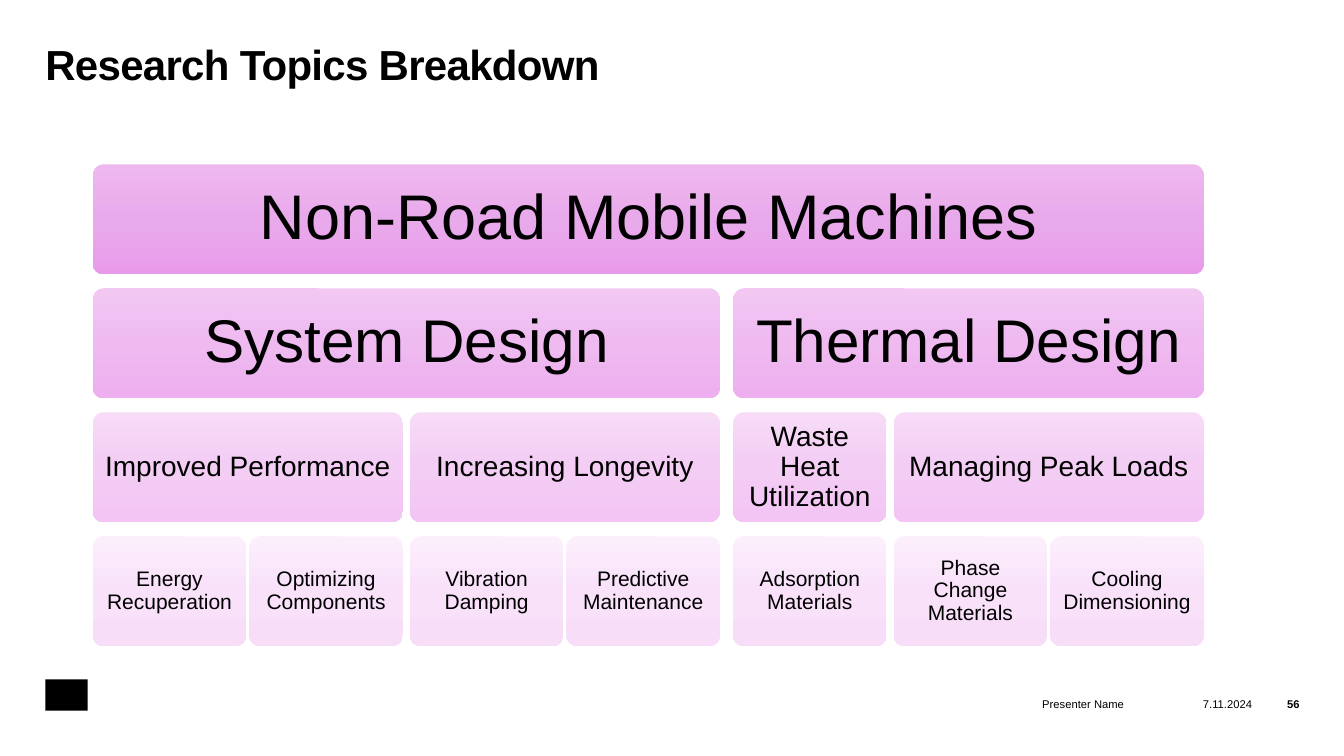
from copy import deepcopy
from pptx import Presentation
from pptx.dml.color import RGBColor as Rgb
from pptx.enum.shapes import MSO_SHAPE as Kind
from pptx.enum.text import MSO_ANCHOR as Anchor, MSO_AUTO_SIZE as Fit, PP_ALIGN as Align
from pptx.oxml.ns import qn
from pptx.util import Inches, Pt

INK = {
    "text": "000000",
    "top": ("EEB8EF", "E9AAEB", "E99BEB"),
    "area": ("F2C8F3", "EEBAF0", "EEAFF0"),
    "goal": ("F7DBF7", "F3CDF4", "F3C5F4"),
    "topic": ("FCEFFC", "F8E1F9", "F8DDF9"),
}


def write(shape, text, size, bold=False, align=Align.CENTER,
          anchor=Anchor.MIDDLE, inset=0, line=1.0):
    frame = shape.text_frame
    frame.word_wrap = True
    frame.auto_size = Fit.NONE
    frame.vertical_anchor = anchor
    frame.margin_left = frame.margin_right = Inches(inset)
    frame.margin_top = frame.margin_bottom = Inches(inset)
    para = frame.paragraphs[0]
    para.alignment = align
    para.line_spacing = line
    run = para.add_run()
    run.text = text
    font = run.font
    font.name, font.size, font.bold = "Arial", Pt(size), bold
    font.color.rgb = Rgb.from_string(INK["text"])
    return run


deck = Presentation()
deck.slide_width, deck.slide_height = Inches(13.33), Inches(7.5)
slide = deck.slides.add_slide(deck.slide_layouts[5])
shapes = slide.shapes

title = shapes.title
title.left, title.top = Inches(0.45), Inches(0.44)
title.width, title.height = Inches(12.44), Inches(1.18)
run = write(title, "Research Topics Breakdown", 30, bold=True,
            align=Align.LEFT, anchor=Anchor.TOP, line=0.9)
run.font._element.set("spc", "-50")

mark = shapes.add_shape(Kind.RECTANGLE, Inches(0.45), Inches(6.74), Inches(0.42), Inches(0.31))
mark.shadow.inherit = False
mark.fill.solid()
mark.fill.fore_color.rgb = Rgb.from_string(INK["text"])
mark.line.fill.background()

footer = [
    ("Presenter Name", 1.39, 9.76, False),
    ("7.11.2024", 11.16, 1.26, False),
    ("56", 12.42, 0.47, True),
]
for text, left, width, bold in footer:
    box = shapes.add_textbox(Inches(left), Inches(6.9), Inches(width), Inches(0.16))
    write(box, text, 8, bold=bold, align=Align.RIGHT)

LEFT, TOP, WIDTH, HIGH, STEP = 0.92, 1.63, 11.02, 1.09, 1.23
gaps = [0.03, 0.07, 0.03, 0.13, 0.07, 0.03]
cell = (WIDTH - sum(gaps)) / 7
cols = [LEFT + n * cell + sum(gaps[:n]) for n in range(7)]

rows = [
    ("top", 45, 0.19, [("Non-Road Mobile Machines", 7)]),
    ("area", 43, 0.17, [("System Design", 4), ("Thermal Design", 3)]),
    ("goal", 20, 0.07, [
        ("Improved Performance", 2), ("Increasing Longevity", 2),
        ("Waste Heat Utilization", 1), ("Managing Peak Loads", 2),
    ]),
    ("topic", 15, 0.06, [
        ("Energy Recuperation", 1), ("Optimizing Components", 1),
        ("Vibration Damping", 1), ("Predictive Maintenance", 1),
        ("Adsorption Materials", 1), ("Phase Change Materials", 1),
        ("Cooling Dimensioning", 1),
    ]),
]
for row, (level, size, inset, items) in enumerate(rows):
    col = 0
    for text, span in items:
        width = cols[col + span - 1] + cell - cols[col]
        box = shapes.add_shape(Kind.ROUNDED_RECTANGLE, Inches(cols[col]),
                               Inches(TOP + row * STEP), Inches(width), Inches(HIGH))
        box.adjustments[0] = 0.1
        box.shadow.inherit = False
        box.line.fill.background()
        box.fill.gradient()
        box.fill.gradient_angle = 270
        stops = box._element.spPr.find(qn("a:gradFill")).find(qn("a:gsLst"))
        stops.insert(1, deepcopy(stops[0]))
        for n, stop in enumerate(box.fill.gradient_stops):
            stop.position = n / 2
            stop.color.rgb = Rgb.from_string(INK[level][n])
        write(box, text, size, inset=inset, line=0.9)
        col += span

deck.save("out.pptx")
